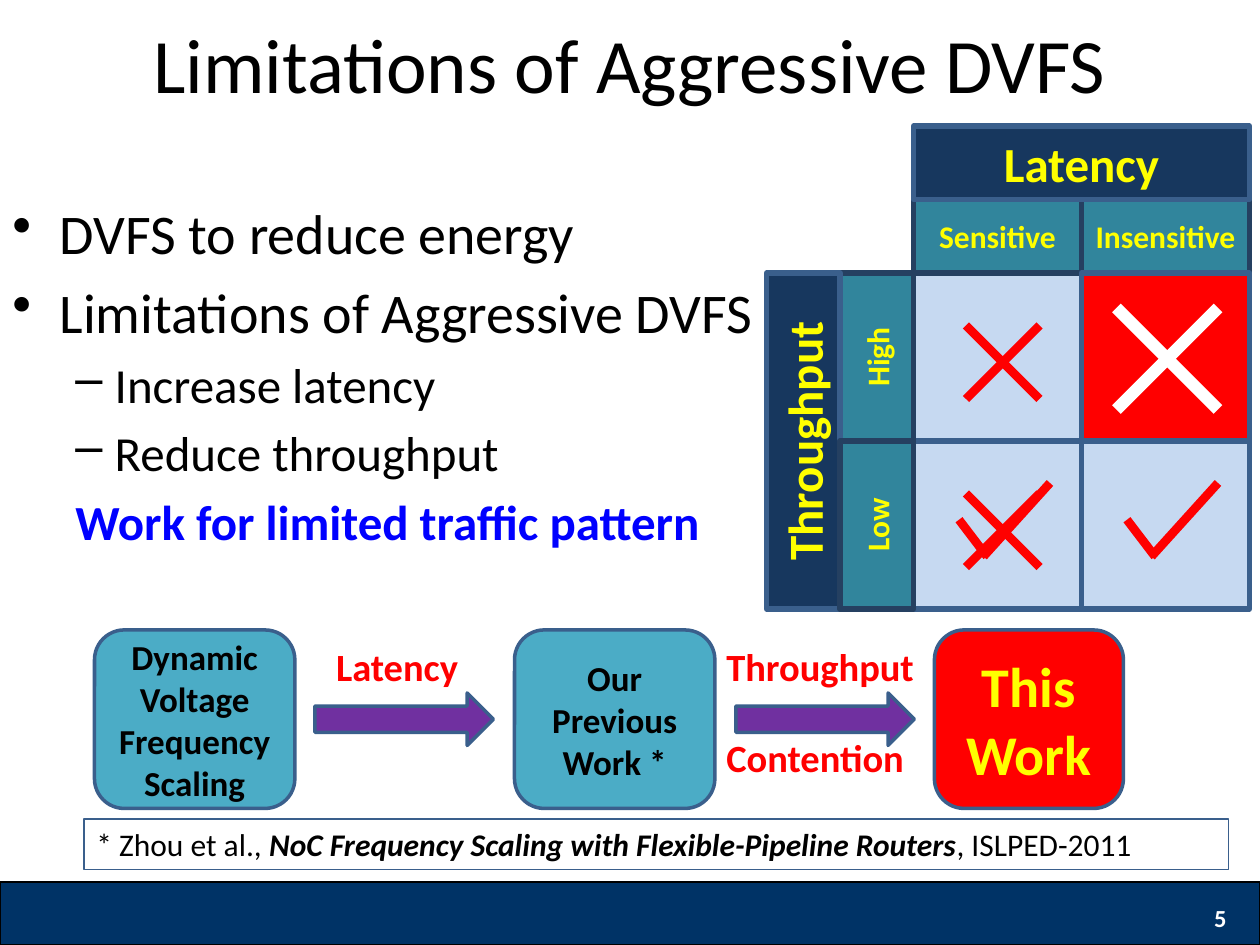
from dataclasses import dataclass
from typing import NamedTuple

from lxml import etree
from pptx import Presentation
from pptx.dml.color import RGBColor
from pptx.enum import shapes, text
from pptx.oxml.ns import qn
from pptx.util import Pt

KIND = shapes.MSO_SHAPE
ALIGN = text.PP_ALIGN
ANCHOR = text.MSO_ANCHOR


@dataclass(frozen=True)
class Theme:
    font: str = "Calibri"
    black: str = "000000"
    white: str = "FFFFFF"
    red: str = "FF0000"
    yellow: str = "FFFF00"
    blue: str = "0000FF"
    bar: str = "003366"
    border: str = "3A5F8C"
    dark_border: str = "254061"
    axis: str = "17375E"
    level: str = "31859C"
    cell: str = "C6D9F1"
    step: str = "4BACC6"
    arrow: str = "7030A0"
    title_size: float = 44
    body_size: float = 32
    sub_size: float = 28
    label_size: float = 22
    step_size: float = 20
    small_size: float = 18
    number_size: float = 14


T = Theme()


class Box(NamedTuple):
    left: float
    top: float
    width: float
    height: float


class Run(NamedTuple):
    words: str
    bold: bool = False
    italic: bool = False


class Header(NamedTuple):
    words: str
    box: Box
    fill: str
    border: str
    size: float
    turned: bool = False


class Step(NamedTuple):
    words: str
    left: float
    width: float
    fill: str
    color: str
    size: float


class Bullet(NamedTuple):
    words: str
    level: int
    size: float
    mark: str = ""
    color: str = T.black
    bold: bool = False


class Stroke(NamedTuple):
    x1: float
    y1: float
    x2: float
    y2: float


def write(paragraph, *runs: Run, size: float, color: str = T.black, align=ALIGN.LEFT) -> None:
    paragraph.alignment = align
    for part in runs:
        run = paragraph.add_run()
        run.text = part.words
        font = run.font
        font.name, font.size = T.font, Pt(size)
        font.bold, font.italic = part.bold, part.italic
        font.color.rgb = RGBColor.from_string(color)


def add_text(slide, box: Box, anchor=ANCHOR.TOP):
    frame = slide.shapes.add_textbox(*map(Pt, box)).text_frame
    frame.word_wrap = True
    frame.vertical_anchor = anchor
    return frame


def add_block(slide, kind, box: Box, fill: str | None, border: str, weight: float):
    block = slide.shapes.add_shape(kind, *map(Pt, box))
    block.shadow.inherit = False
    if fill:
        block.fill.solid()
        block.fill.fore_color.rgb = RGBColor.from_string(fill)
    else:
        block.fill.background()
    block.line.color.rgb = RGBColor.from_string(border)
    block.line.width = Pt(weight)
    block.text_frame.word_wrap = True
    block.text_frame.vertical_anchor = ANCHOR.MIDDLE
    return block


def add_header(slide, header: Header) -> None:
    left, top, width, height = header.box
    if header.turned:  # same centre, sides swapped before the quarter turn
        shift = (width - height) / 2
        box = Box(left + shift, top - shift, height, width)
    else:
        box = header.box
    block = add_block(slide, KIND.RECTANGLE, box, header.fill, header.border, 3)
    block.rotation = 270 if header.turned else 0
    write(block.text_frame.paragraphs[0], Run(header.words, bold=True),
          size=header.size, color=T.yellow, align=ALIGN.CENTER)


def add_mark(slide, x: float, y: float, strokes: list[Stroke], color: str, weight: float) -> None:
    for s in strokes:
        line = slide.shapes.add_connector(shapes.MSO_CONNECTOR.STRAIGHT, Pt(x + s.x1),
                                          Pt(y + s.y1), Pt(x + s.x2), Pt(y + s.y2))
        line.line.color.rgb = RGBColor.from_string(color)
        line.line.width = Pt(weight)
        etree.SubElement(line._element.spPr, qn("a:effectLst"))


def cross(near: float, far: float) -> list[Stroke]:
    return [Stroke(near, near, far, far), Stroke(near, far, far, near)]


def add_bullet(paragraph, item: Bullet, first: bool) -> None:
    paragraph.level = item.level
    margin, indent = ((27, -27), (58.5, -22.5))[item.level]
    props = paragraph._p.get_or_add_pPr()
    props.set("marL", str(Pt(margin)))
    props.set("indent", str(Pt(indent)))
    if item.mark:
        etree.SubElement(props, qn("a:buChar")).set("char", item.mark)
    paragraph.space_before = Pt(0 if first else item.size * 0.2)
    write(paragraph, Run(item.words, item.bold), size=item.size, color=item.color)


def main() -> None:
    deck = Presentation()
    deck.slide_width, deck.slide_height = Pt(720), Pt(540)
    slide = deck.slides.add_slide(deck.slide_layouts[6])

    # Footer bar, slide number and title
    add_block(slide, KIND.RECTANGLE, Box(0, 504, 720, 36), T.bar, T.black, 0.75)
    number = add_text(slide, Box(540, 510, 168, 28.5), ANCHOR.MIDDLE)
    write(number.paragraphs[0], Run("5", bold=True), size=T.number_size,
          color=T.white, align=ALIGN.RIGHT)
    title = add_text(slide, Box(18, 12, 684, 48), ANCHOR.MIDDLE)
    write(title.paragraphs[0], Run("Limitations of Aggressive DVFS"),
          size=T.title_size, align=ALIGN.CENTER)

    # Evolution of the work
    steps = [
        Step("Dynamic Voltage Frequency Scaling", 54, 144, T.step, T.black, T.step_size),
        Step("Our Previous Work *", 294, 114.5, T.step, T.black, T.step_size),
        Step("This Work", 534, 108, T.red, T.yellow, T.body_size),
    ]
    steps = [s._replace(width=114.5) if s.fill == T.step else s for s in steps]
    for step in steps:
        block = add_block(slide, KIND.ROUNDED_RECTANGLE,
                          Box(step.left, 360, step.width, 102), step.fill, T.border, 2)
        write(block.text_frame.paragraphs[0], Run(step.words, bold=True),
              size=step.size, color=step.color, align=ALIGN.CENTER)
    for left in (180, 420.5):
        add_block(slide, KIND.RIGHT_ARROW, Box(left, 396, 102, 30), T.arrow, T.border, 2)
    for words, left, top in (("Latency", 185, 364), ("Throughput", 408, 364),
                             ("Contention", 408, 416)):
        label = add_text(slide, Box(left, top, 127, 34))
        write(label.paragraphs[0], Run(words, bold=True), size=T.label_size, color=T.red)

    # Bullet list
    bullets = [
        Bullet("DVFS to reduce energy", 0, T.body_size, "•"),
        Bullet("Limitations of Aggressive DVFS", 0, T.body_size, "•"),
        Bullet("Increase latency", 1, T.sub_size, "–"),
        Bullet("Reduce throughput", 1, T.sub_size, "–"),
        Bullet("Work for limited traffic pattern", 1, T.sub_size, color=T.blue, bold=True),
    ]
    body = add_text(slide, Box(0, 110, 474, 232))
    for i, item in enumerate(bullets):
        add_bullet(body.add_paragraph() if i else body.paragraphs[0], item, first=i == 0)

    # Traffic matrix: square cells with two header bands on each axis
    side, band, x0, y0 = 96, 42, 522, 156
    x1, y1 = x0 + side, y0 + side
    for x, y in ((x0, y0), (x0, y1), (x1, y1)):
        add_block(slide, KIND.RECTANGLE, Box(x, y, side, side), T.cell, T.border, 3)
    level = (T.level, T.dark_border, T.small_size)
    axis = (T.axis, T.border, T.sub_size)
    for header in (
        Header("Sensitive", Box(x0, y0 - band, side, band), *level),
        Header("Insensitive", Box(x1, y0 - band, side, band), *level),
        Header("High", Box(x0 - band, y0, band, side), *level, turned=True),
        Header("Latency", Box(x0, y0 - 2 * band, 2 * side, band), *axis),
        Header("Throughput", Box(x0 - 2 * band, y0, band, 2 * side), *axis, turned=True),
        Header("Low", Box(x0 - band, y1, band, side), *level, turned=True),
    ):
        add_header(slide, header)

    # Verdicts in the cells
    tick = [Stroke(26, 45, 42, 66), Stroke(40, 66, 78, 24)]
    for x, y, mark in ((x1, y1, tick), (x0, y0, cross(30, 72)),
                       (x0, y1, cross(30, 72)), (x0, y1, tick)):
        add_mark(slide, x, y, mark, T.red, 5)
    add_block(slide, KIND.RECTANGLE, Box(x1, y0, side, side), T.red, T.border, 3)
    add_mark(slide, x1, y0, cross(20, 78), T.white, 7)

    # Reference
    reference = add_block(slide, KIND.RECTANGLE, Box(48, 468, 654, 29), None, T.border, 0.75)
    write(reference.text_frame.paragraphs[0], Run("* Zhou et al., "),
          Run("NoC Frequency Scaling with Flexible-Pipeline Routers", bold=True, italic=True),
          Run(", ISLPED-2011"), size=T.small_size)

    deck.save("out.pptx")


if __name__ == "__main__":
    main()
